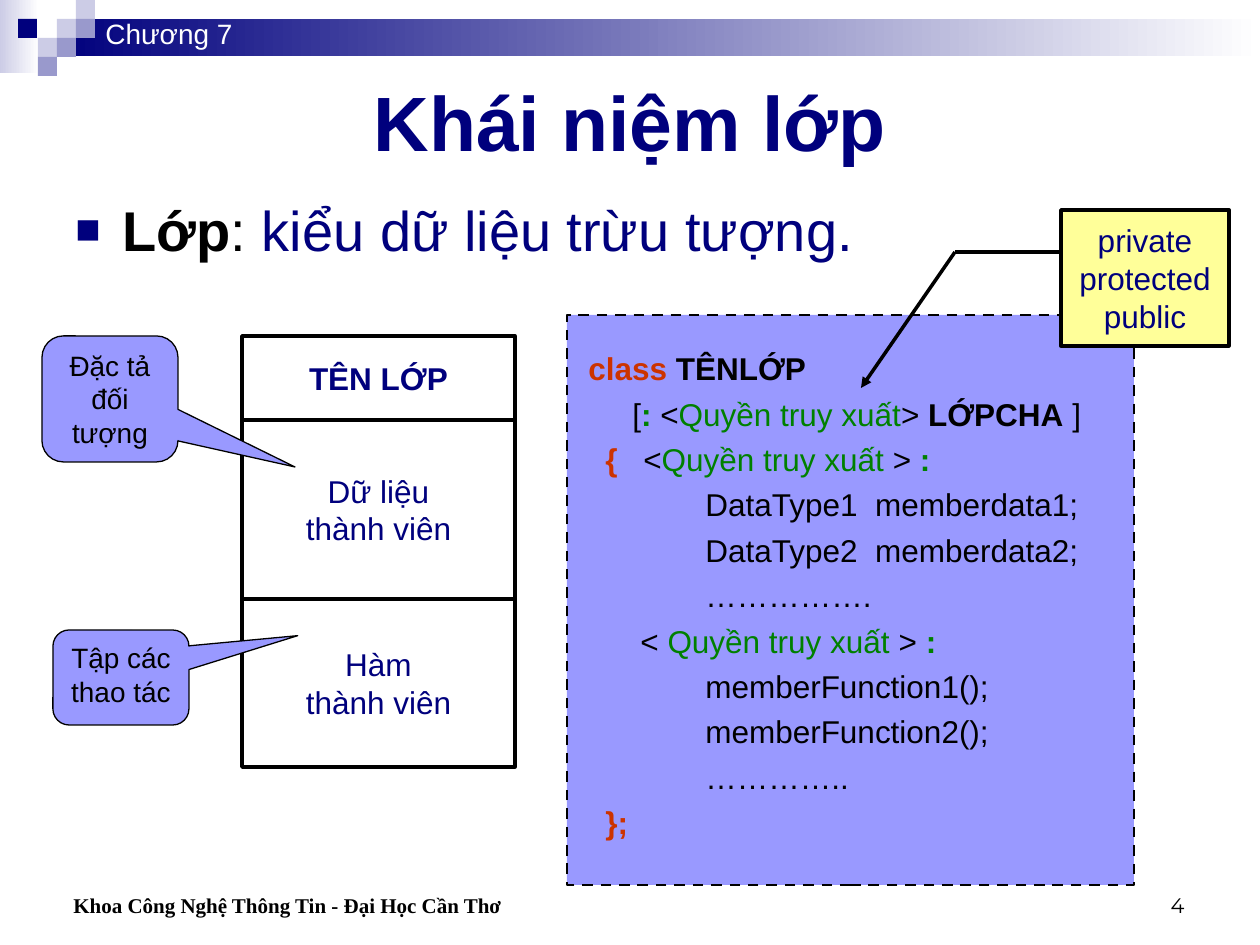
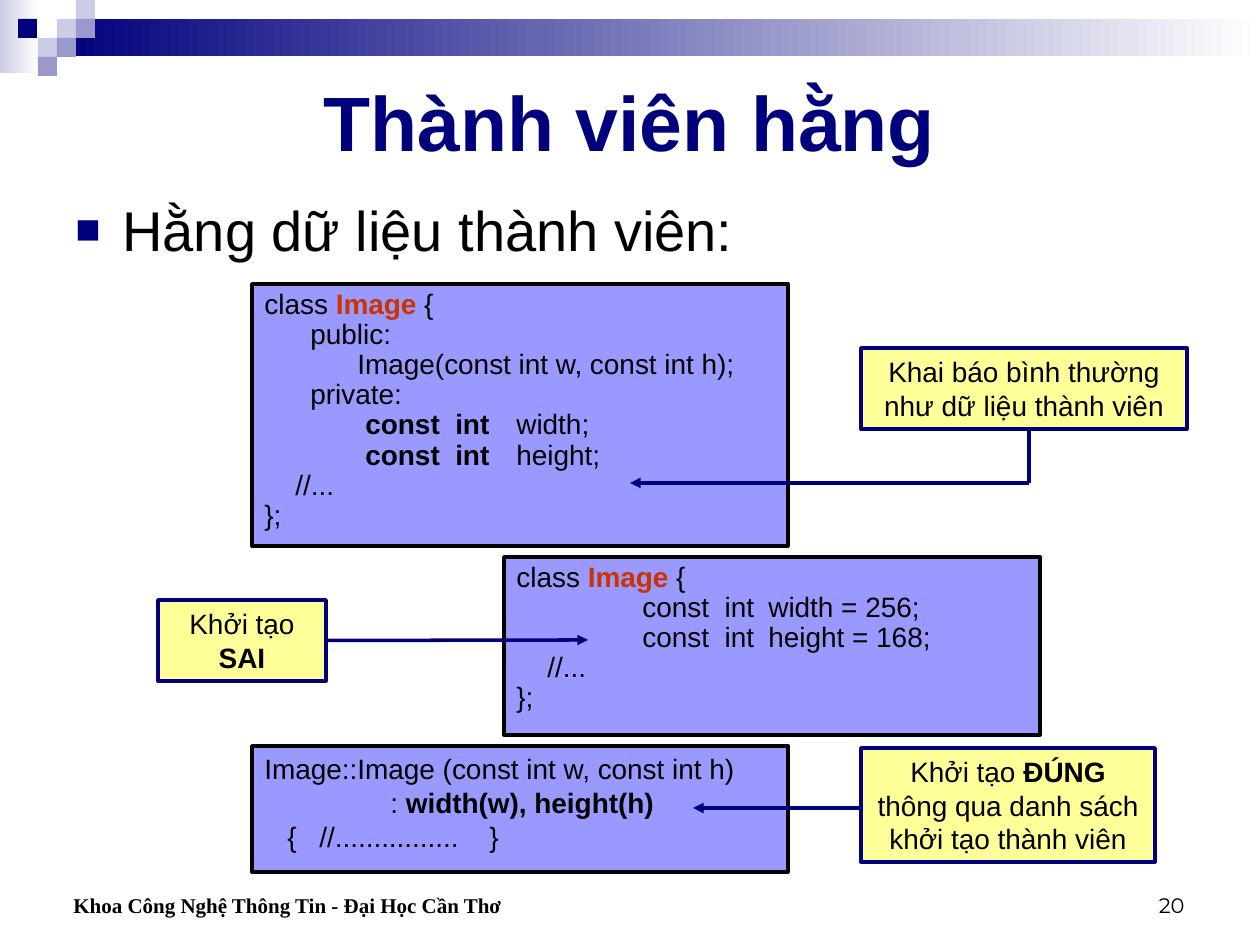
from dataclasses import dataclass
from typing import Optional

import pptx
import pptx.dml.color
import pptx.enum.dml
import pptx.enum.shapes
import pptx.enum.text
import pptx.oxml
import pptx.oxml.ns
import pptx.util

PX_PER_INCH = 126
COLORS = {
    "navy": "00007D", "mid": "9999CC", "pale": "CCCCE6", "white": "FFFFFF",
    "black": "000000", "lilac": "9999FF", "yellow": "FFFF99",
    "red": "CC3300", "green": "008000",
}
SHAPES = pptx.enum.shapes.MSO_SHAPE
ALIGN = pptx.enum.text.PP_ALIGN
ANCHOR = pptx.enum.text.MSO_ANCHOR


@dataclass(frozen=True)
class Span:
    text: str
    color: Optional[str] = None
    bold: Optional[bool] = None


@dataclass(frozen=True)
class Line:
    """One paragraph; stops are tab positions in px from the text edge."""
    spans: tuple[Span, ...]
    stops: tuple[int, ...] = ()


@dataclass(frozen=True)
class TextStyle:
    size: int
    color: str = "black"
    bold: bool = False
    font: str = "Arial"
    align: ALIGN = ALIGN.CENTER
    anchor: ANCHOR = ANCHOR.MIDDLE
    spacing: float = 1.0
    top: int = 6


@dataclass(frozen=True)
class Box:
    left: int
    top: int
    width: int
    height: int
    lines: tuple[Line, ...]
    style: TextStyle
    fill: Optional[str] = None
    border: str = "black"
    border_width: float = 2
    dashed: bool = False
    shape: SHAPES = SHAPES.RECTANGLE
    adjustments: tuple[float, ...] = ()


def line(*parts, stops: tuple[int, ...] = ()) -> Line:
    """Make a Line from plain strings and Spans."""
    return Line(tuple(Span(part) if isinstance(part, str) else part for part in parts), stops)


def plain(*texts: str) -> tuple[Line, ...]:
    return tuple(line(text) for text in texts)


def px(value: int) -> pptx.util.Emu:
    return pptx.util.Emu(round(value * 914400 / PX_PER_INCH))


def rgb(name: str) -> pptx.dml.color.RGBColor:
    return pptx.dml.color.RGBColor.from_string(COLORS[name])


def add_xml(parent, tag: str, **attributes):
    child = pptx.oxml.ns.qn(tag)
    element = parent.makeelement(child, {key: str(value) for key, value in attributes.items()})
    parent.append(element)
    return element


def write(shape, lines: tuple[Line, ...], style: TextStyle) -> None:
    frame = shape.text_frame
    frame.word_wrap = True
    frame.auto_size = pptx.enum.text.MSO_AUTO_SIZE.NONE
    frame.vertical_anchor = style.anchor
    frame.margin_left = frame.margin_right = pptx.util.Inches(0.1)
    frame.margin_top, frame.margin_bottom = px(style.top), px(6)
    for index, item in enumerate(lines):
        para = frame.add_paragraph() if index else frame.paragraphs[0]
        para.alignment = style.align
        para.line_spacing = style.spacing
        if item.stops:
            tabs = add_xml(para._p.get_or_add_pPr(), "a:tabLst")
            for stop in item.stops:
                add_xml(tabs, "a:tab", pos=px(stop), algn="l")
        para.font.size = pptx.util.Pt(style.size)
        para.font.name = style.font
        para.font.bold = style.bold
        para.font.color.rgb = rgb(style.color)
        for part in item.spans:
            span = para.add_run()
            span.text = part.text
            if part.color:
                span.font.color.rgb = rgb(part.color)
            if part.bold is not None:
                span.font.bold = part.bold


def add_block(page, left: int, top: int, width: int, height: int,
              color: str, fade: bool = False) -> None:
    """Add a borderless rectangle, fading to white on the right if asked."""
    block = page.shapes.add_shape(SHAPES.RECTANGLE, px(left), px(top), px(width), px(height))
    block.shadow.inherit = False
    block.line.fill.background()
    if fade:
        block.fill.gradient()
        block.fill.gradient_angle = 0
        for stop, name in zip(block.fill.gradient_stops, (color, "white")):
            stop.color.rgb = rgb(name)
    else:
        block.fill.solid()
        block.fill.fore_color.rgb = rgb(color)


def add_text(page, left: int, top: int, width: int, height: int,
             lines: tuple[Line, ...], style: TextStyle):
    box = page.shapes.add_textbox(px(left), px(top), px(width), px(height))
    write(box, lines, style)
    return box


def add_box(page, spec: Box):
    box = page.shapes.add_shape(
        spec.shape, px(spec.left), px(spec.top), px(spec.width), px(spec.height))
    box.shadow.inherit = False
    for index, value in enumerate(spec.adjustments):
        box.adjustments[index] = value
    if spec.fill:
        box.fill.solid()
        box.fill.fore_color.rgb = rgb(spec.fill)
    else:
        box.fill.background()
    box.line.color.rgb = rgb(spec.border)
    box.line.width = pptx.util.Pt(spec.border_width)
    if spec.dashed:
        box.line.dash_style = pptx.enum.dml.MSO_LINE.DASH
    write(box, spec.lines, spec.style)
    return box


def add_path(page, color: str, *points: tuple[int, int]) -> list:
    """Join the points with straight connectors; the last has an arrowhead."""
    links = []
    for (x1, y1), (x2, y2) in zip(points, points[1:]):
        link = page.shapes.add_connector(
            pptx.enum.shapes.MSO_CONNECTOR.STRAIGHT, px(x1), px(y1), px(x2), px(y2))
        link.line.color.rgb = rgb(color)
        link.line.width = pptx.util.Pt(2)
        links.append(link)
    add_xml(links[-1].line._get_or_add_ln(), "a:tailEnd", type="triangle")
    for link in links:
        add_xml(link._element.spPr, "a:effectLst")
    return links


TITLE = TextStyle(44, "navy", bold=True)
LEAD = TextStyle(32, align=ALIGN.LEFT, anchor=ANCHOR.TOP)
CHAPTER = TextStyle(16, "white", align=ALIGN.LEFT, anchor=ANCHOR.TOP)
FOOTER = TextStyle(12, bold=True, font="Times New Roman", align=ALIGN.LEFT, anchor=ANCHOR.BOTTOM)
NUMBER = TextStyle(12, font="Montserrat", align=ALIGN.RIGHT, anchor=ANCHOR.BOTTOM)
MEMBER = TextStyle(18, "navy")
MEMBER_HEAD = TextStyle(18, "navy", bold=True)
CALLOUT = TextStyle(16, anchor=ANCHOR.TOP)
NOTE = TextStyle(16)
SYNTAX = TextStyle(18, align=ALIGN.LEFT, anchor=ANCHOR.TOP, spacing=1.2, top=27)
CODE = TextStyle(16, align=ALIGN.LEFT, anchor=ANCHOR.TOP, spacing=0.9)
CODE_LOOSE = TextStyle(16, align=ALIGN.LEFT, anchor=ANCHOR.TOP)

CELL = 19
MOSAIC = ((57, 19, "pale"), (76, 0, "pale"), (76, 19, "mid"), (38, 38, "pale"),
          (18, 19, "navy"), (57, 38, "mid"), (38, 57, "mid"))


def add_page(deck, title: str, lead: Line, number: int):
    """Add a slide with band, title, bulleted lead line and footer."""
    page = deck.slides.add_slide(deck.slide_layouts[5])
    add_block(page, 0, 0, 39, 73, "pale", fade=True)
    add_block(page, 57, 19, 1203, 37, "navy", fade=True)
    for left, top, color in MOSAIC:
        add_block(page, left, top, CELL, CELL, color)

    heading = page.shapes.title
    heading.left, heading.top, heading.width, heading.height = map(px, (63, 63, 1134, 116))
    write(heading, plain(title), TITLE)

    body = add_text(page, 63, 189, 829, 84, (lead,), LEAD)
    para = body.text_frame.paragraphs[0]
    para.space_before = pptx.util.Pt(8)
    props = para._p.get_or_add_pPr()
    props.set("marL", str(px(47)))
    props.set("indent", str(px(-47)))
    bullet = pptx.oxml.parse_xml(
        f'<a:pPr {pptx.oxml.ns.nsdecls("a")}><a:buClr><a:srgbClr val="{COLORS["navy"]}"/></a:buClr>'
        '<a:buSzPct val="75000"/><a:buFont typeface="Arial"/><a:buChar char="■"/></a:pPr>')
    default_font = props.find(pptx.oxml.ns.qn("a:defRPr"))
    for element in list(bullet):
        default_font.addprevious(element)

    add_text(page, 61, 861, 579, 63, plain("Khoa Công Nghệ Thông Tin - Đại Học Cần Thơ"), FOOTER)
    add_text(page, 903, 861, 294, 63, plain(str(number)), NUMBER)
    return page


def build_class_concept(deck) -> None:
    page = add_page(deck, "Khái niệm lớp", line(
        Span("Lớp", bold=True), ": ", Span("kiểu dữ liệu trừu tượng.", "navy")), 4)
    add_text(page, 93, 11, 221, 47, plain("Chương 7"), CHAPTER)

    top = 336
    for height, texts, style in ((84, ("TÊN LỚP",), MEMBER_HEAD),
                                 (179, ("Dữ liệu", "thành viên"), MEMBER),
                                 (168, ("Hàm", "thành viên"), MEMBER)):
        add_box(page, Box(242, top, 273, height, plain(*texts), style))
        top += height

    for left, top, height, text, tip in (
            (42, 336, 126, "Đặc tả đối tượng", (1.36, 0.54, 0.17)),
            (53, 630, 95, "Tập các thao tác", (1.3, -0.44, 0.17))):
        add_box(page, Box(left, top, 136, height, plain(text), CALLOUT, "lilac",
                          border_width=0.75, shape=SHAPES.ROUNDED_RECTANGULAR_CALLOUT,
                          adjustments=tip))

    colon = Span(":", "green", True)
    access = Span("Quyền truy xuất", "green")
    access_spaced = Span("Quyền truy xuất ", "green")
    members = {
        name: tuple(line("\t" + text, stops=(126,)) for text in texts)
        for name, texts in {
            "data": ("DataType1  memberdata1;", "DataType2  memberdata2;", "……………."),
            "functions": ("memberFunction1();", "memberFunction2();", "………….."),
        }.items()
    }
    syntax = (
        line(Span("\tclass ", "red", True), Span("TÊNLỚP", bold=True), stops=(9,)),
        line("\t[", colon, " <", access, "> ", Span("LỚPCHA", bold=True), " ]", stops=(53,)),
        line(Span("\t{", "red", True), "\t<", access_spaced, "> ", colon, stops=(26, 64)),
        *members["data"],
        line("\t< ", access_spaced, "> ", colon, stops=(61,)),
        *members["functions"],
        line(Span("\t};", "red", True), stops=(26,)),
    )
    add_box(page, Box(567, 315, 567, 570, syntax, SYNTAX, "lilac", border_width=1.5, dashed=True))
    add_box(page, Box(1061, 210, 168, 136, plain("private", "protected", "public"),
                      MEMBER, "yellow"))
    add_path(page, "black", (1061, 252), (955, 252), (861, 388))


def build_constant_members(deck) -> None:
    page = add_page(deck, "Thành viên hằng", line("Hằng dữ liệu thành viên:"), 20)
    class_head = line("class ", Span("Image", "red", True), " {")
    class_end = (line("\t//...", stops=(31,)), line("};"))
    declaration = (
        class_head,
        line("\tpublic:", stops=(46,)),
        line("\tImage(const int w, const int h);", stops=(93,)),
        line("\tprivate:", stops=(46,)),
        *(line(Span("\tconst  int", bold=True), f"\t{name};", stops=(101, 252))
          for name in ("width", "height")),
        *class_end,
    )
    wrong = (
        class_head,
        *(line(f"\tconst  int\t{name} = {value};", stops=(126, 252))
          for name, value in (("width", 256), ("height", 168))),
        *class_end,
    )
    right = (
        line("Image::Image (const int w, const int h)"),
        line("\t: ", Span("width(w), height(h)", bold=True), stops=(126,)),
        line("\t{\t//................\t}", stops=(23, 55, 225)),
    )
    for left, top, height, lines, style in ((252, 284, 262, declaration, CODE),
                                            (504, 557, 178, wrong, CODE),
                                            (252, 746, 126, right, CODE_LOOSE)):
        add_box(page, Box(left, top, 536, height, lines, style, "lilac"))

    notes = [add_box(page, Box(*place, lines, NOTE, "yellow", "navy")) for place, lines in (
        ((861, 348, 326, 81), plain("Khai báo bình thường", "như dữ liệu thành viên")),
        ((158, 600, 168, 81), (line("Khởi tạo ", Span("SAI", bold=True)),)),
        ((861, 748, 294, 114), (line("Khởi tạo ", Span("ĐÚNG", bold=True),
                                     " thông qua danh sách khởi tạo thành viên"),)),
    )]
    add_path(page, "navy", (1029, 431), (1029, 483), (630, 483))
    add_path(page, "navy", (326, 640), (588, 640))[0].begin_connect(notes[1], 3)
    add_path(page, "navy", (861, 808), (693, 808))


def main() -> None:
    deck = pptx.Presentation()
    deck.slide_width, deck.slide_height = px(1260), px(945)
    build_class_concept(deck)
    build_constant_members(deck)
    deck.save("out.pptx")


if __name__ == "__main__":
    main()
